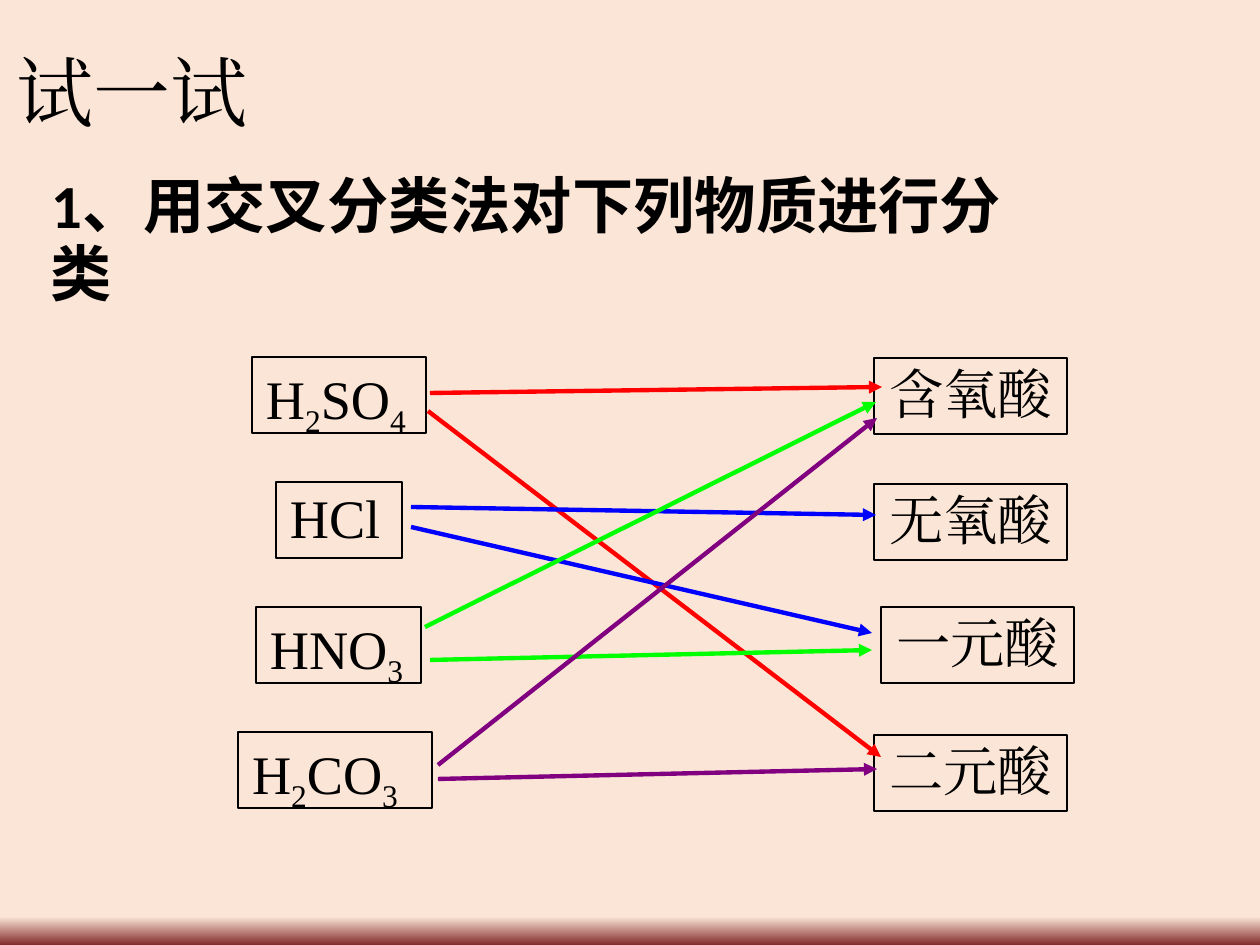
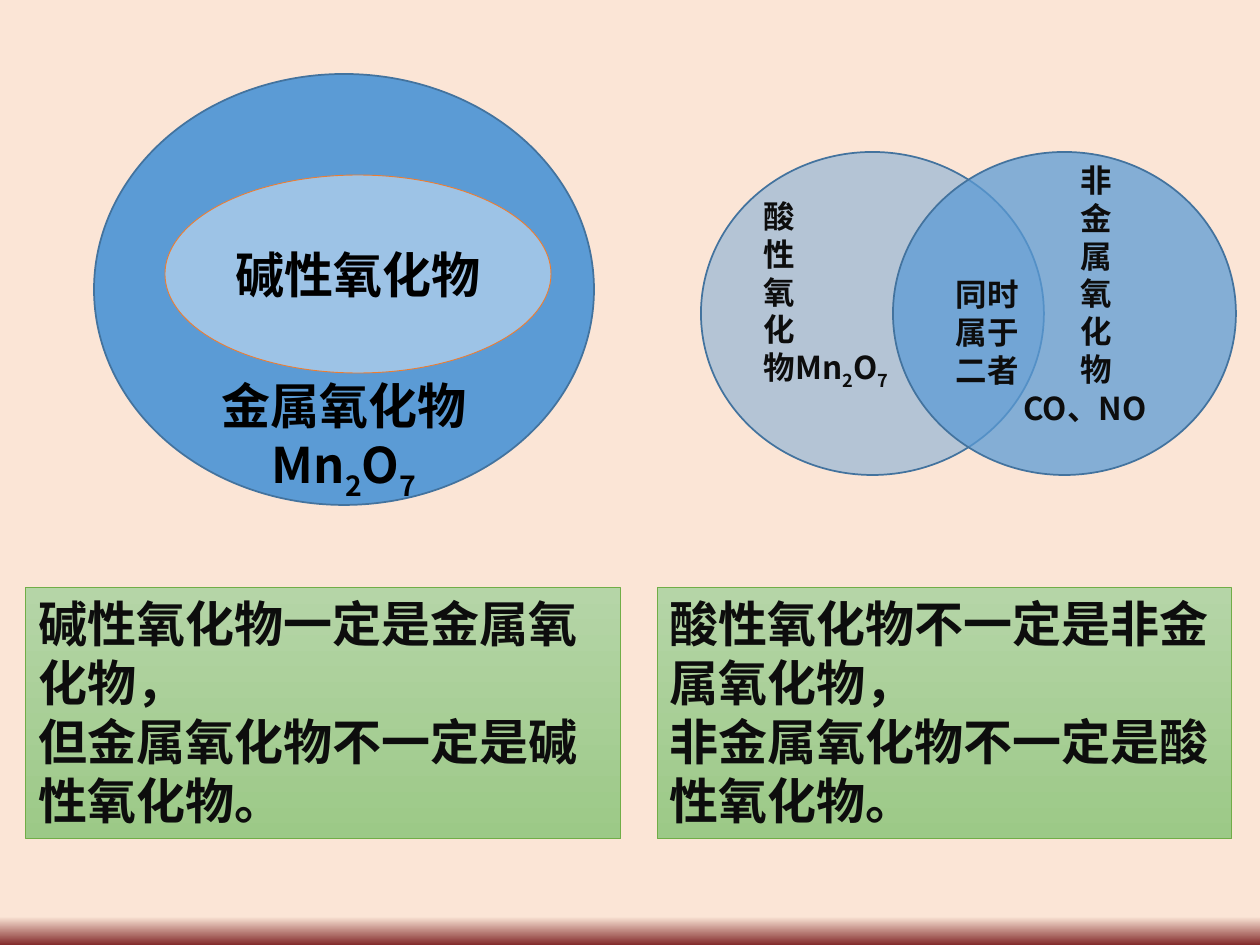
"""Two slides on classifying acids and oxides."""
from lxml.etree import SubElement
from pptx import Presentation
from pptx.dml.color import RGBColor
from pptx.enum.shapes import MSO_CONNECTOR, MSO_SHAPE as SHAPE
from pptx.enum.text import MSO_ANCHOR as ANCHOR, MSO_AUTO_SIZE as AUTO, PP_ALIGN as ALIGN
from pptx.oxml.ns import qn
from pptx.util import Pt

PX = 914400 / 126
TIMES, CALIBRI, NOTO = "Times New Roman", "Calibri", "Noto Sans CJK SC"
BLACK, INK, EDGE, BLUE = "000000", "0D0D0D", "43739E", "5B9BD5"
BAND = [(97, "FBE5D6"), (100, "832B2B")]
GREEN = [(0, "B5D5A7"), (100, "9CC987")]
WIDE, NORMAL, NONE = (14, 8), (13, 6), (0, 0)

TITLE = "试一试"
QUESTION = "1、用交叉分类法对下列物质进行分类"
BOX_H = 76
ACIDS = [("H_2SO_4", 252, 357, 174), ("HCl", 276, 482, 126),
         ("HNO_3", 256, 607, 165), ("H_2CO_3", 238, 732, 194)]
CLASSES = [("含氧酸", 874, 358, 193), ("无氧酸", 874, 484, 193),
           ("一元酸", 881, 607, 193), ("二元酸", 874, 735, 193)]
ARROWS = [("FF0000", [(430, 393, 882, 387), (428, 411, 881, 757)]),
          ("0000FF", [(411, 507, 876, 515), (411, 527, 872, 633)]),
          ("00FF00", [(425, 627, 876, 402), (430, 660, 872, 650)]),
          ("800080", [(438, 765, 877, 418), (438, 779, 877, 769)])]

MN2O7 = ("Mn_2O_7", NOTO)
BASIC = "碱性氧化物"
METAL = [["金属氧化物", MN2O7]]
ACIDIC = ["酸", "性", "氧", "化", ["物", MN2O7]]
RULES = [(26, 595, ["碱性氧化物一定是金属氧化物，", "但金属氧化物不一定是碱性氧化物。"]),
         (657, 575, ["酸性氧化物不一定是非金属氧化物，", "非金属氧化物不一定是酸性氧化物。"])]
CIRCLES = [(701, 44), (893, 74)]
VENN_LABELS = [((764, 197, 160, 200), ACIDIC, ALIGN.LEFT),
               ((1076, 161, 40, 230), list("非金属氧化物"), ALIGN.CENTER),
               ((952, 275, 70, 115), ["同时", "属于", "二者"], ALIGN.CENTER),
               ((1000, 389, 170, 40), [[("CO、NO", NOTO)]], ALIGN.CENTER)]


def emu(*lengths):
    return [round(v * PX) for v in lengths]


def rgb(code):
    return RGBColor.from_string(code)


def set_gradient(fill, stops):
    fill.gradient()
    fill.gradient_angle = 270
    for stop, (pos, color) in zip(fill.gradient_stops, stops):
        stop.position = pos / 100
        stop.color.rgb = rgb(color)


def write(sp, paras, size, font, color=BLACK, bold=False, align=ALIGN.LEFT,
          inset=NORMAL, anchor=ANCHOR.TOP, spacing=None, wrap=True):
    tf = sp.text_frame
    tf.auto_size, tf.word_wrap, tf.vertical_anchor = AUTO.NONE, wrap, anchor
    x, y = emu(*inset)
    tf.margin_left = tf.margin_right = x
    tf.margin_top = tf.margin_bottom = y
    for i, para in enumerate(paras):
        p = tf.add_paragraph() if i else tf.paragraphs[0]
        p.alignment = align
        if spacing:
            p.line_spacing = spacing
        for chunk in [para] if isinstance(para, str) else para:
            text, face = (chunk, font) if isinstance(chunk, str) else chunk
            add_runs(p, text, face, size, color, bold)


def add_runs(p, text, face, size, color, bold):
    head, *rest = text.split("_")
    pieces = [(head, False)]
    for part in rest:
        pieces += [(part[0], True), (part[1:], False)]
    for piece, lowered in pieces:
        if not piece:
            continue
        r = p.add_run()
        r.text = piece
        r.font.size, r.font.bold, r.font.name = Pt(size), bold, face
        r.font.color.rgb = rgb(color)
        rPr = r._r.get_or_add_rPr()
        SubElement(rPr, qn("a:ea"), typeface=face)
        if lowered:
            rPr.set("baseline", "-25000")


def add_shape(slide, kind, box, line, width, fill=None, alpha=None):
    sp = slide.shapes.add_shape(kind, *emu(*box))
    sp.shadow.inherit = False
    sp.line.color.rgb = rgb(line)
    sp.line.width = Pt(width)
    if fill is None:
        sp.fill.background()
    elif isinstance(fill, list):
        set_gradient(sp.fill, fill)
    else:
        sp.fill.solid()
        sp.fill.fore_color.rgb = rgb(fill)
    if alpha:
        clr = sp.fill._xPr.find(qn("a:solidFill"))[0]
        SubElement(clr, qn("a:alpha"), val=str(alpha * 1000))
    return sp


def add_label(slide, box, paras, size, font, **style):
    write(slide.shapes.add_textbox(*emu(*box)), paras, size, font, **style)


def add_arrow(slide, ends, color):
    cx = slide.shapes.add_connector(MSO_CONNECTOR.STRAIGHT, *emu(*ends))
    cx.line.color.rgb = rgb(color)
    cx.line.width = Pt(2.5)
    SubElement(cx.line._get_or_add_ln(), qn("a:tailEnd"), type="triangle")
    SubElement(cx._element.spPr, qn("a:effectLst"))


def add_title(slide, text):
    sp = slide.shapes.title
    sp.left, sp.top, sp.width, sp.height = emu(0, 45, 265, 101)
    write(sp, [text], 44, TIMES, align=ALIGN.CENTER, inset=WIDE, spacing=0.93)
    latin = sp.text_frame.paragraphs[0].runs[0]._r.rPr.find(qn("a:latin"))
    effects = SubElement(latin.getparent(), qn("a:effectLst"))
    latin.addprevious(effects)
    shadow = SubElement(effects, qn("a:outerShdw"), dist="25400", dir="2700000")
    SubElement(shadow, qn("a:srgbClr"), val=EDGE)


def build_acids(prs):
    slide = prs.slides.add_slide(prs.slide_layouts[5])
    add_title(slide, TITLE)
    add_label(slide, (37, 166, 1040, 140), [QUESTION], 35, CALIBRI,
              bold=True, inset=WIDE, spacing=0.93)
    for column, align in ((ACIDS, ALIGN.LEFT), (CLASSES, ALIGN.CENTER)):
        for text, x, y, w in column:
            sp = add_shape(slide, SHAPE.RECTANGLE, (x, y, w, BOX_H), BLACK, 0.75)
            write(sp, [text], 31, TIMES, align=align, inset=WIDE, spacing=0.93,
                  wrap=align == ALIGN.LEFT)
    for color, pair in ARROWS:
        for ends in pair:
            add_arrow(slide, ends, color)


def build_oxides(prs):
    slide = prs.slides.add_slide(prs.slide_layouts[6])
    add_shape(slide, SHAPE.OVAL, (94, 74, 500, 431), EDGE, 1, BLUE)
    add_label(slide, (164, 370, 360, 140), METAL, 28, CALIBRI,
              bold=True, align=ALIGN.CENTER)
    inner = add_shape(slide, SHAPE.OVAL, (165, 175, 386, 198), "ED7D31", 0.5, "9DC3E6")
    write(inner, [BASIC], 28, CALIBRI, bold=True, align=ALIGN.CENTER,
          anchor=ANCHOR.MIDDLE)
    for x, w, paras in RULES:
        sp = add_shape(slide, SHAPE.RECTANGLE, (x, 588, w, 251), "70AD47", 0.5, GREEN)
        write(sp, paras, 28, CALIBRI, color=INK, bold=True)
    for x, alpha in CIRCLES:
        add_shape(slide, SHAPE.FLOWCHART_CONNECTOR, (x, 152, 343, 323), EDGE, 1, BLUE, alpha)
    for box, paras, align in VENN_LABELS:
        add_label(slide, box, paras, 18, CALIBRI, color=INK, bold=True,
                  align=align, inset=NONE)


def main():
    prs = Presentation()
    prs.slide_width, prs.slide_height = emu(1260, 945)
    set_gradient(prs.slide_master.background.fill, BAND)
    build_acids(prs)
    build_oxides(prs)
    prs.save("out.pptx")


if __name__ == "__main__":
    main()
